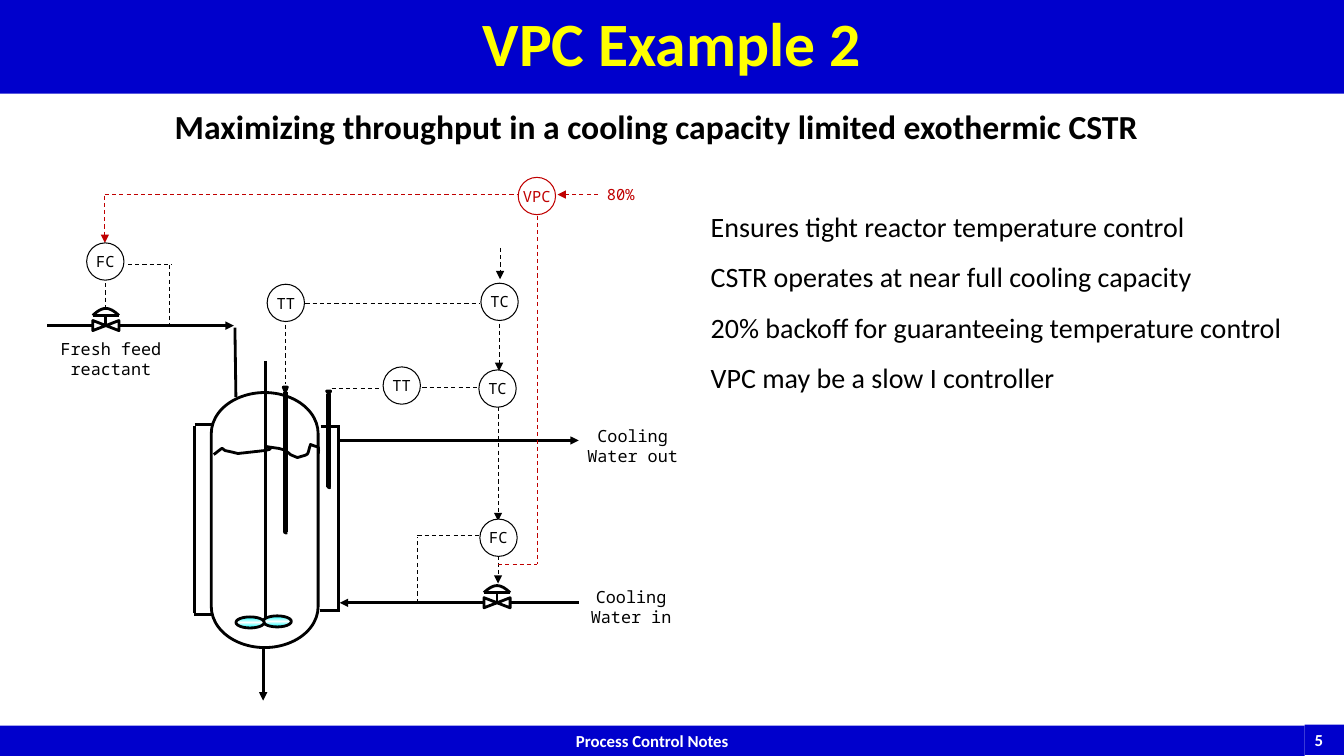
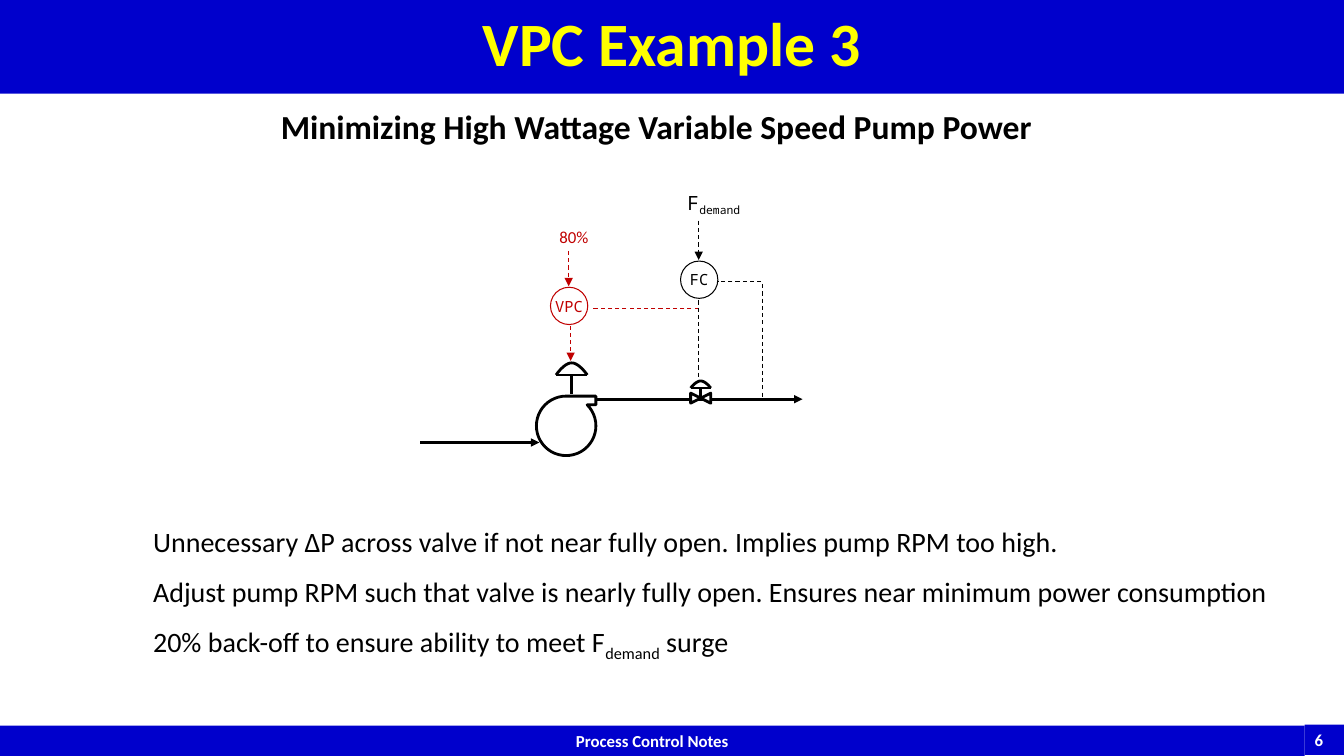
from copy import deepcopy
from dataclasses import dataclass
from typing import NamedTuple

from lxml import etree
from pptx import Presentation
from pptx.dml.color import RGBColor
from pptx.enum import dml, shapes, text
from pptx.oxml import ns
from pptx import util as u

COLORS = {
    "band": "0000CC", "title": "FFFF00", "ink": "000000",
    "paper": "FFFFFF", "alert": "C00000", "blade": "00FFFF",
}
SANS, MONO = "Calibri", "Noto Sans Mono"
PIPE, SIGNAL = 2, 0.75
BUBBLE = 0.37
FORM = shapes.MSO_SHAPE
CENTER = text.PP_ALIGN.CENTER
DOME = [(-0.5, 0), (-0.34, -0.57), (-0.16, -1), (0, -1), (0.16, -1), (0.34, -0.57), (0.5, 0)]
LIQUID = [
    (2.12, 4.51), (2.15, 4.49), (2.17, 4.47), (2.2, 4.45), (2.21, 4.45), (2.22, 4.46), (2.23, 4.47),
    (2.28, 4.48), (2.32, 4.49), (2.36, 4.5), (2.45, 4.49), (2.54, 4.48), (2.63, 4.47),
    (2.8, 4.44), (2.48, 4.41), (2.77, 4.45), (2.8, 4.46), (2.82, 4.46), (2.84, 4.48),
    (2.86, 4.49), (2.87, 4.5), (2.88, 4.51), (2.9, 4.52), (2.95, 4.54), (2.95, 4.54),
    (3.08, 4.5), (3.04, 4.53), (3.08, 4.41), (3.17, 4.45), (3.16, 4.41), (3.16, 4.5),
]
Point = tuple[float, float]


class Area(NamedTuple):
    left: float
    top: float
    width: float
    height: float

    def lengths(self) -> list[int]:
        return [u.Inches(value) for value in self]


@dataclass
class Link:
    start: Point
    end: Point
    arrow: bool = False
    color: str = "ink"


@dataclass
class Bubble:
    label: str
    left: float
    top: float
    color: str = "ink"


@dataclass
class Actuator:
    x: float
    bar: float
    span: float
    rise: float
    stem: float


@dataclass
class Probe:
    x: float
    top: float
    bottom: float
    cap: float


def rgb(name: str) -> RGBColor:
    return RGBColor.from_string(COLORS[name])


def write(frame, lines: list[str], *, size: float, font: str = SANS, color: str = "ink",
          bold: bool = False, align=text.PP_ALIGN.LEFT, anchor=text.MSO_ANCHOR.TOP,
          flush: bool = False, wrap: bool = False, after: float = 0, spacing: float = 1) -> None:
    frame.word_wrap = wrap
    frame.vertical_anchor = anchor
    if flush:
        frame.margin_left = frame.margin_right = frame.margin_top = frame.margin_bottom = 0
    for index, line in enumerate(lines):
        para = frame.add_paragraph() if index else frame.paragraphs[0]
        para.alignment = align
        para.space_after = u.Pt(after)
        para.line_spacing = spacing
        for order, part in enumerate(line.split("_")):
            span = para.add_run()
            span.text = part
            span.font.name = font
            span.font.size = u.Pt(size)
            span.font.bold = bold
            span.font.color.rgb = rgb(color)
            if order % 2:
                span.font._element.set("baseline", "-25000")


def add_words(page, area: Area, lines: list[str], **style) -> None:
    box = page.shapes.add_textbox(*area.lengths())
    write(box.text_frame, lines, **style)


def paint(shape, fill: str | None, line: str | None, width: float = PIPE) -> None:
    shape.shadow.inherit = False
    if fill:
        shape.fill.solid()
        shape.fill.fore_color.rgb = rgb(fill)
    else:
        shape.fill.background()
    if line:
        shape.line.color.rgb = rgb(line)
        shape.line.width = u.Pt(width)
    else:
        shape.line.fill.background()


def add_form(page, form, area: Area, fill: str | None = "paper", line: str | None = "ink",
             width: float = PIPE, turn: float = 0):
    shape = page.shapes.add_shape(form, *area.lengths())
    paint(shape, fill, line, width)
    shape.rotation = turn
    return shape


def add_links(page, links: list[Link], width: float) -> None:
    for link in links:
        ends = [u.Inches(value) for value in (*link.start, *link.end)]
        connector = page.shapes.add_connector(shapes.MSO_CONNECTOR.STRAIGHT, *ends)
        connector.line.color.rgb = rgb(link.color)
        connector.line.width = u.Pt(width)
        if width == SIGNAL:
            connector.line.dash_style = dml.MSO_LINE.DASH
        if link.arrow:
            tip = etree.SubElement(connector.line._get_or_add_ln(), ns.qn("a:tailEnd"))
            tip.set("type", "triangle")
        etree.SubElement(connector._element.spPr, ns.qn("a:effectLst"))


def curve(knots: list[Point], steps: int = 8) -> list[Point]:
    points = [knots[0]]
    for first in range(0, len(knots) - 1, 3):
        a, b, c, d = knots[first:first + 4]
        for step in range(1, steps + 1):
            t = step / steps
            s = 1 - t
            points.append(tuple(
                s ** 3 * p + 3 * s * s * t * q + 3 * s * t * t * r + t ** 3 * v
                for p, q, r, v in zip(a, b, c, d)))
    return points


def add_outline(page, points: list[Point], closed: bool = False) -> None:
    places = [(u.Inches(x), u.Inches(y)) for x, y in points]
    builder = page.shapes.build_freeform(*places[0])
    builder.add_line_segments(places[1:], close=closed)
    paint(builder.convert_to_shape(), "paper" if closed else None, "ink")


def add_actuator(page, part: Actuator) -> None:
    half = part.span / 2
    add_links(page, [
        Link((part.x, part.bar), (part.x, part.bar + part.stem)),
        Link((part.x - half, part.bar), (part.x + half, part.bar)),
    ], PIPE)
    add_outline(page, curve([(part.x + x * part.span, part.bar + y * part.rise) for x, y in DOME]))


def add_valve(page, x: float, y: float, span: float) -> None:
    length, height = span / 2, 0.1
    for side, turn in ((-1, 90), (1, 270)):
        middle = x + side * length / 2
        area = Area(middle - height / 2, y - length / 2, height, length)
        add_form(page, FORM.ISOSCELES_TRIANGLE, area, turn=turn)
    add_actuator(page, Actuator(x, y - 0.1, span, 0.07, 0.1))


def add_probe(page, probe: Probe) -> None:
    left, right = probe.x - 0.01, probe.x + 0.01
    add_links(page, [Link((x, probe.top), (x, probe.bottom)) for x in (left, right)], PIPE)
    add_outline(page, [(left, probe.bottom), (right, probe.bottom + 0.01),
                       (probe.x, probe.bottom)], closed=True)
    add_form(page, FORM.FLOWCHART_MERGE,
             Area(probe.x - 0.02, probe.top - probe.cap, 0.04, probe.cap))


def add_bubbles(page, bubbles: list[Bubble]) -> None:
    for bubble in bubbles:
        circle = add_form(page, FORM.OVAL, Area(bubble.left, bubble.top, BUBBLE, BUBBLE),
                          line=bubble.color, width=SIGNAL)
        write(circle.text_frame, [bubble.label], size=11, font=MONO, color=bubble.color,
              align=CENTER, anchor=text.MSO_ANCHOR.MIDDLE, flush=True)


def add_blade(page, area: Area) -> None:
    blade = add_form(page, FORM.OVAL, area)
    blade.fill.gradient()
    blade.fill.gradient_angle = 90
    first = blade._element.spPr.find(".//" + ns.qn("a:gs"))
    first.addnext(deepcopy(first))
    stops = zip(blade.fill.gradient_stops, (0, 0.5, 1), ("blade", "paper", "blade"))
    for stop, position, color in stops:
        stop.position = position
        stop.color.rgb = rgb(color)


def add_page(deck, title: str, heading: str, number: int):
    page = deck.slides.add_slide(deck.slide_layouts[5])
    footer = {"size": 12, "color": "paper", "bold": True, "anchor": text.MSO_ANCHOR.MIDDLE}
    band = add_form(page, FORM.RECTANGLE, Area(0, 7.2, 12.94, 0.3), "band", None)
    write(band.text_frame, ["Process Control Notes"], align=CENTER, **footer)
    corner = add_form(page, FORM.RECTANGLE, Area(12.94, 7.19, 0.4, 0.3), "band", None)
    write(corner.text_frame, [str(number)], **footer)
    banner = page.shapes.title
    banner.left, banner.top, banner.width, banner.height = Area(0, 0, 13.33, 0.93).lengths()
    banner.fill.solid()
    banner.fill.fore_color.rgb = rgb("band")
    write(banner.text_frame, [title], size=44, color="title", bold=True, align=CENTER,
          anchor=text.MSO_ANCHOR.MIDDLE, wrap=True, spacing=0.9)
    add_words(page, Area(1.59, 1, 9.84, 0.5), [heading], size=24, bold=True, align=CENTER)
    return page


def build_reactor(deck) -> None:
    page = add_page(deck, "VPC Example 2",
                    "Maximizing throughput in a cooling capacity limited exothermic CSTR", 5)
    for area, lines in (
        (Area(5.78, 5.82, 0.96, 0.52), ["Cooling Water in"]),
        (Area(0.54, 3.36, 1.12, 0.6), ["Fresh feed reactant"]),
        (Area(5.74, 4.22, 1.07, 0.35), ["Cooling", "Water out"]),
    ):
        add_words(page, area, lines, size=12, font=MONO, align=CENTER, flush=True, wrap=True)
    add_links(page, [
        Link((2.33, 3.25), (2.34, 3.94)),
        Link((5.74, 5.98), (3.37, 5.98), True),
        Link((0.47, 3.23), (2.32, 3.23), True),
        Link((3.37, 4.37), (5.74, 4.37), True),
        Link((3.18, 4.23), (3.36, 4.23)),
        Link((3.17, 6.06), (3.35, 6.06)),
        Link((3.36, 4.22), (3.36, 6.07)),
        Link((1.92, 6.1), (2.1, 6.1)),
        Link((1.93, 4.21), (2.11, 4.21)),
        Link((1.93, 4.23), (1.93, 6.08)),
    ], PIPE)
    add_valve(page, 4.93, 5.98, 0.26)
    add_valve(page, 1.05, 3.23, 0.26)
    add_form(page, FORM.FLOWCHART_TERMINATOR, Area(1.36, 4.63, 2.53, 1.06), turn=90)
    add_probe(page, Probe(2.83, 3.89, 5.28, 0.05))
    add_probe(page, Probe(3.26, 3.91, 4.83, 0.03))
    add_outline(page, curve(LIQUID))
    add_links(page, [Link((2.61, 6.42), (2.61, 6.95), True),
                     Link((2.63, 3.58), (2.63, 6.18))], PIPE)
    for left, top in ((2.61, 6.11), (2.34, 6.12)):
        add_blade(page, Area(left, top, 0.28, 0.11))
    add_links(page, [
        Link((4.19, 3.84), (4.74, 3.84)),
        Link((3.29, 3.85), (3.76, 3.85)),
        Link((2.83, 3.22), (2.83, 3.81)),
        Link((4.94, 5.51), (4.94, 5.79), True),
        Link((4.14, 5.98), (4.14, 5.33)),
        Link((4.14, 5.31), (4.78, 5.31)),
        Link((4.94, 4.04), (4.94, 5.17), True),
        Link((3.03, 3.01), (4.76, 3.01)),
        Link((4.95, 3.21), (4.95, 3.68), True),
        Link((4.96, 2.46), (4.96, 2.77), True),
        Link((1.04, 1.94), (1.04, 2.41), True, "alert"),
        Link((1.05, 2.81), (1.05, 3.05)),
        Link((1.27, 2.62), (1.7, 2.62)),
        Link((1.68, 2.63), (1.68, 3.22)),
        Link((4.94, 5.6), (5.33, 5.6), color="alert"),
        Link((5.33, 2.14), (5.33, 5.6), color="alert"),
        Link((1.04, 1.93), (5.13, 1.93), color="alert"),
        Link((5.93, 1.93), (5.53, 1.93), True, "alert"),
    ], SIGNAL)
    add_bubbles(page, [
        Bubble("TT", 3.8, 3.64), Bubble("TT", 2.65, 2.82), Bubble("TC", 4.77, 2.81),
        Bubble("TC", 4.75, 3.67), Bubble("FC", 4.76, 5.15), Bubble("FC", 0.86, 2.41),
        Bubble("VPC", 5.14, 1.76, "alert"),
    ])
    add_words(page, Area(6.02, 1.84, 0.48, 0.26), ["80%"], size=11, font=MONO, color="alert",
              flush=True, wrap=True)
    add_words(page, Area(6.95, 2.03, 5.92, 1.95), [
        "Ensures tight reactor temperature control",
        "CSTR operates at near full cooling capacity",
        "20% backoff for guaranteeing temperature control",
        "VPC may be a slow I controller",
    ], size=20, after=12)


def build_pump(deck) -> None:
    page = add_page(deck, "VPC Example 3", "Minimizing High Wattage Variable Speed Pump Power", 6)
    pump = add_form(page, FORM.FLOWCHART_SEQUENTIAL_ACCESS_STORAGE,
                    Area(5.32, 3.93, 0.59, 0.59), None)
    pump._element.spPr.get_or_add_xfrm().set("flipV", "1")
    add_links(page, [Link((4.17, 4.39), (5.35, 4.39), True),
                     Link((5.91, 3.96), (7.96, 3.96), True)], PIPE)
    add_valve(page, 6.95, 3.95, 0.2)
    add_actuator(page, Actuator(5.67, 3.72, 0.31, 0.12, 0.19))
    add_links(page, [
        Link((6.93, 3.06), (5.86, 3.06), color="alert"),
        Link((5.64, 2.49), (5.64, 2.84), True, "alert"),
        Link((5.66, 3.23), (5.66, 3.58), True, "alert"),
        Link((7.55, 2.79), (7.12, 2.79)),
        Link((7.56, 2.82), (7.56, 3.96)),
        Link((6.93, 2.98), (6.93, 3.77)),
        Link((6.93, 2.19), (6.93, 2.58), True),
    ], SIGNAL)
    add_bubbles(page, [Bubble("VPC", 5.46, 2.85, "alert"), Bubble("FC", 6.75, 2.59)])
    add_words(page, Area(5.45, 2.2, 0.49, 0.3), ["80%"], size=12, color="alert")
    add_words(page, Area(6.72, 1.84, 0.79, 0.34), ["F_demand"], size=14, font=MONO)
    add_words(page, Area(1.42, 5.15, 11.35, 1.45), [
        "Unnecessary ΔP across valve if not near fully open. Implies pump RPM too high.",
        "Adjust pump RPM such that valve is nearly fully open. "
        "Ensures near minimum power consumption",
        "20% back-off to ensure ability to meet F_demand_ surge",
    ], size=20, after=12)


deck = Presentation()
deck.slide_width, deck.slide_height = u.Inches(13.33), u.Inches(7.5)
build_reactor(deck)
build_pump(deck)
deck.save("out.pptx")
